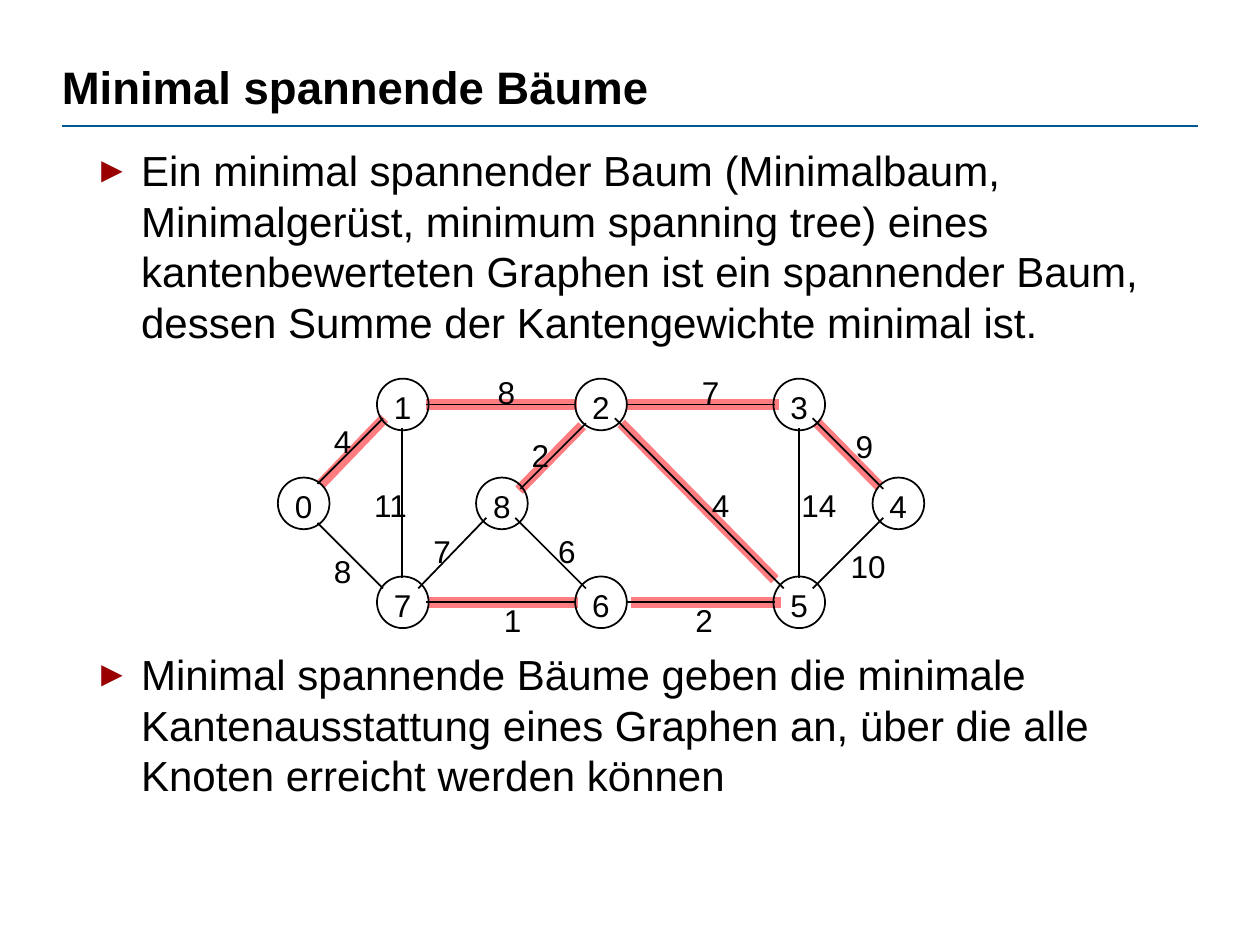
from typing import NamedTuple

from lxml.etree import SubElement
from pptx import Presentation
from pptx.dml.color import RGBColor
from pptx.enum.shapes import MSO_CONNECTOR, MSO_SHAPE
from pptx.enum.text import MSO_ANCHOR, MSO_AUTO_SIZE, PP_ALIGN
from pptx.oxml.ns import qn
from pptx.util import Inches, Pt

COLORS = {"text": "000000", "rule": "005890", "bullet": "990000", "tree": "FF7C80"}
FRAME = {"margin_left": 0, "margin_top": 0, "margin_right": 0, "margin_bottom": 0,
         "vertical_anchor": MSO_ANCHOR.TOP, "auto_size": MSO_AUTO_SIZE.NONE}
LEADING = 1.2

# Nodes lie on a grid of 7 columns and 3 rows
LEFT, RIGHT, TOP, BOTTOM = 2.41, 7.13, 3.21, 4.78
COL_STEP, ROW_STEP = (RIGHT - LEFT) / 6, (BOTTOM - TOP) / 2
NODE_SIZE = 0.41
DIGIT_WIDTH, LABEL_HEIGHT, LABEL_SIZE = 0.14, 0.3, 18


class Line(NamedTuple):
    x1: float
    y1: float
    x2: float
    y2: float


class Edge(NamedTuple):
    line: Line
    weight: int
    label_x: float
    label_y: float


class Node(NamedTuple):
    name: int
    col: int
    row: int


TREE = [
    Line(3.38, 3.21, 4.58, 3.21), Line(4.98, 3.21, 6.18, 3.21),
    Line(6.48, 3.35, 6.98, 3.86), Line(4.93, 3.36, 6.15, 4.6),
    Line(3.4, 4.78, 4.59, 4.78), Line(5.01, 4.78, 6.2, 4.78),
    Line(4.12, 3.89, 4.62, 3.38), Line(2.55, 3.84, 3.05, 3.32),
]
EDGES = [
    Edge(Line(6.45, 3.32, 7.01, 3.88), 9, 6.79, 3.39),
    Edge(Line(2.52, 3.84, 3.04, 3.32), 4, 2.65, 3.35),
    Edge(Line(3.38, 3.21, 4.57, 3.21), 8, 3.95, 2.96),
    Edge(Line(3.19, 4.59, 3.19, 3.4), 11, 2.97, 3.86),
    Edge(Line(2.52, 4.15, 3.04, 4.67), 8, 2.65, 4.38),
    Edge(Line(3.32, 4.67, 3.86, 4.11), 7, 3.44, 4.22),
    Edge(Line(4.13, 3.88, 4.65, 3.36), 2, 4.22, 3.46),
    Edge(Line(3.38, 4.78, 4.57, 4.78), 1, 4, 4.77),
    Edge(Line(4.09, 4.11, 4.65, 4.67), 6, 4.43, 4.22),
    Edge(Line(4.88, 3.32, 6.22, 4.67), 4, 5.65, 3.86),
    Edge(Line(4.97, 3.21, 6.15, 3.21), 7, 5.57, 2.96),
    Edge(Line(6.34, 4.59, 6.34, 3.4), 14, 6.36, 3.86),
    Edge(Line(6.45, 4.67, 7.01, 4.11), 10, 6.75, 4.34),
    Edge(Line(4.97, 4.78, 6.15, 4.78), 2, 5.52, 4.77),
]
NODES = [
    Node(0, 0, 1), Node(1, 1, 0), Node(2, 3, 0), Node(3, 5, 0), Node(4, 6, 1),
    Node(5, 5, 2), Node(6, 3, 2), Node(7, 1, 2), Node(8, 2, 1),
]
# Text and space before in points; the large gap leaves room for the graph
BULLETS = [
    ("Ein minimal spannender Baum (Minimalbaum, Minimalgerüst, minimum spanning "
     "tree) eines kantenbewerteten Graphen ist ein spannender Baum, dessen Summe "
     "der Kantengewichte minimal ist.", 0),
    ("Minimal spannende Bäume geben die minimale Kantenausstattung eines Graphen "
     "an, über die alle Knoten erreicht werden können", 172.8),
]


def rgb(name: str) -> RGBColor:
    return RGBColor.from_string(COLORS[name])


def format_frame(tf, wrap: bool) -> None:
    for key, value in {**FRAME, "word_wrap": wrap}.items():
        setattr(tf, key, value)


def write(p, text: str, size: float, bold: bool = False) -> None:
    p.alignment = PP_ALIGN.LEFT
    p.line_spacing = Pt(size * LEADING)
    r = p.add_run()
    r.text = text
    for key, value in {"name": "Arial", "size": Pt(size), "bold": bold}.items():
        setattr(r.font, key, value)
    r.font.color.rgb = rgb("text")


def add_bullet(p) -> None:
    pPr = p._p.get_or_add_pPr()
    pPr.set("marL", str(Inches(0.63)))
    pPr.set("indent", str(Inches(-0.37)))
    color = SubElement(pPr, qn("a:buClr"))
    SubElement(color, qn("a:srgbClr"), val=COLORS["bullet"])
    SubElement(pPr, qn("a:buSzPct"), val="85000")
    SubElement(pPr, qn("a:buFont"), typeface="Arial")
    SubElement(pPr, qn("a:buChar"), char="►")


def add_line(s, line: Line, color: str, width: float) -> None:
    c = s.shapes.add_connector(MSO_CONNECTOR.STRAIGHT, *map(Inches, line))
    c.line.color.rgb = rgb(color)
    c.line.width = Pt(width)
    SubElement(c._element.spPr, qn("a:effectLst"))


def add_label(s, value: int, x: float, y: float) -> None:
    text = str(value)
    sp = s.shapes.add_textbox(Inches(x), Inches(y), Inches(DIGIT_WIDTH * len(text)),
                              Inches(LABEL_HEIGHT))
    format_frame(sp.text_frame, wrap=False)
    write(sp.text_frame.paragraphs[0], text, LABEL_SIZE)


def center(node: Node) -> tuple[float, float]:
    return LEFT + node.col * COL_STEP, TOP + node.row * ROW_STEP


def add_node(s, node: Node) -> None:
    x, y = center(node)
    sp = s.shapes.add_shape(MSO_SHAPE.OVAL, Inches(x - NODE_SIZE / 2),
                            Inches(y - NODE_SIZE / 2), Inches(NODE_SIZE), Inches(NODE_SIZE))
    sp.shadow.inherit = False
    sp.fill.background()
    sp.line.color.rgb = rgb("text")
    sp.line.width = Pt(1)
    add_label(s, node.name, x - DIGIT_WIDTH / 2, y - 0.13)


def add_title(s, text: str) -> None:
    sp = s.shapes.title
    sp.left, sp.top, sp.width, sp.height = map(Inches, (0.49, 0.47, 9, 0.68))
    format_frame(sp.text_frame, wrap=True)
    write(sp.text_frame.paragraphs[0], text, 26, bold=True)


def add_body(s) -> None:
    tf = s.shapes.add_textbox(*map(Inches, (0.49, 1.15, 9, 5.82))).text_frame
    format_frame(tf, wrap=True)
    for i, (text, gap) in enumerate(BULLETS):
        p = tf.add_paragraph() if i else tf.paragraphs[0]
        write(p, text, 24)
        p.space_before = Pt(gap)
        add_bullet(p)


def main() -> None:
    prs = Presentation()
    prs.slide_width, prs.slide_height = Inches(10), Inches(7.5)
    s = prs.slides.add_slide(prs.slide_layouts[5])
    add_line(s, Line(0.49, 1, 9.51, 1), "rule", 0.75)
    add_title(s, "Minimal spannende Bäume")
    add_body(s)
    for line in TREE:
        add_line(s, line, "tree", 6)
    for edge in EDGES:
        add_line(s, edge.line, "text", 1)
    for node in NODES:
        add_node(s, node)
    for edge in EDGES:
        add_label(s, edge.weight, edge.label_x, edge.label_y)
    prs.save("out.pptx")


if __name__ == "__main__":
    main()
